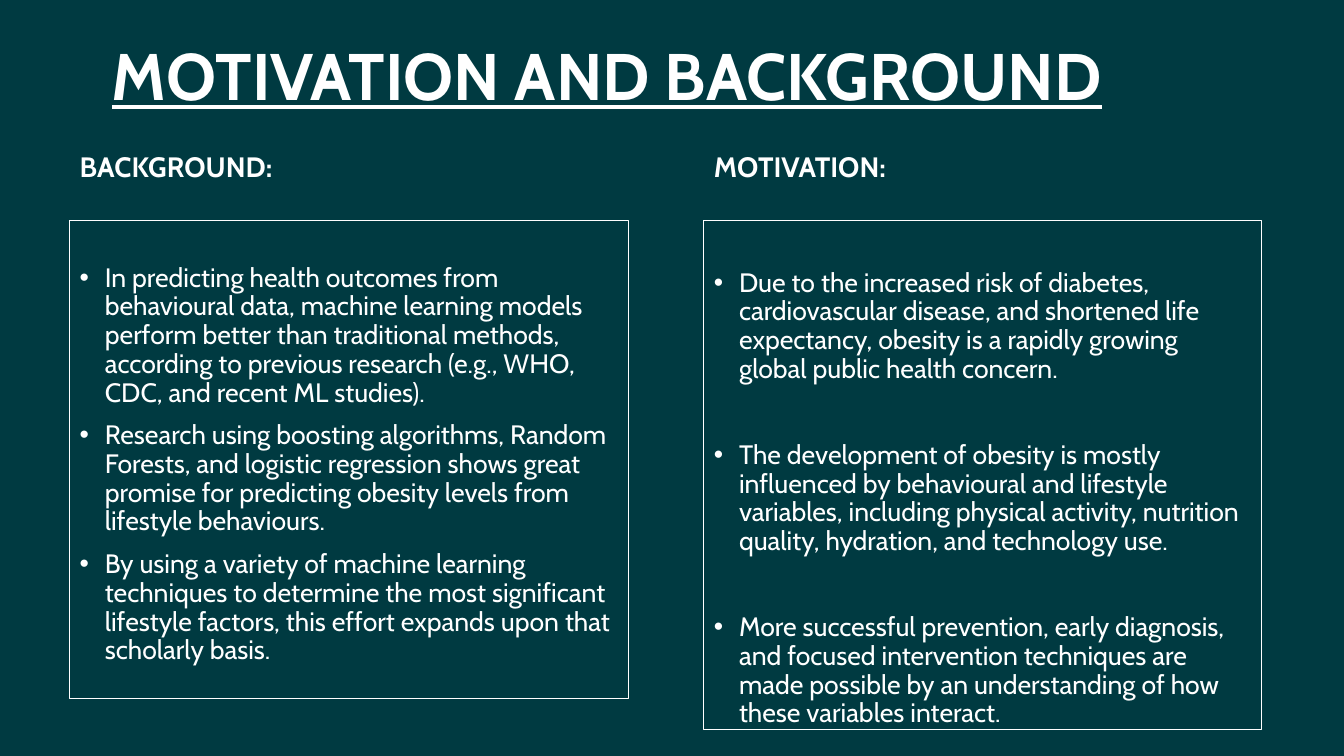
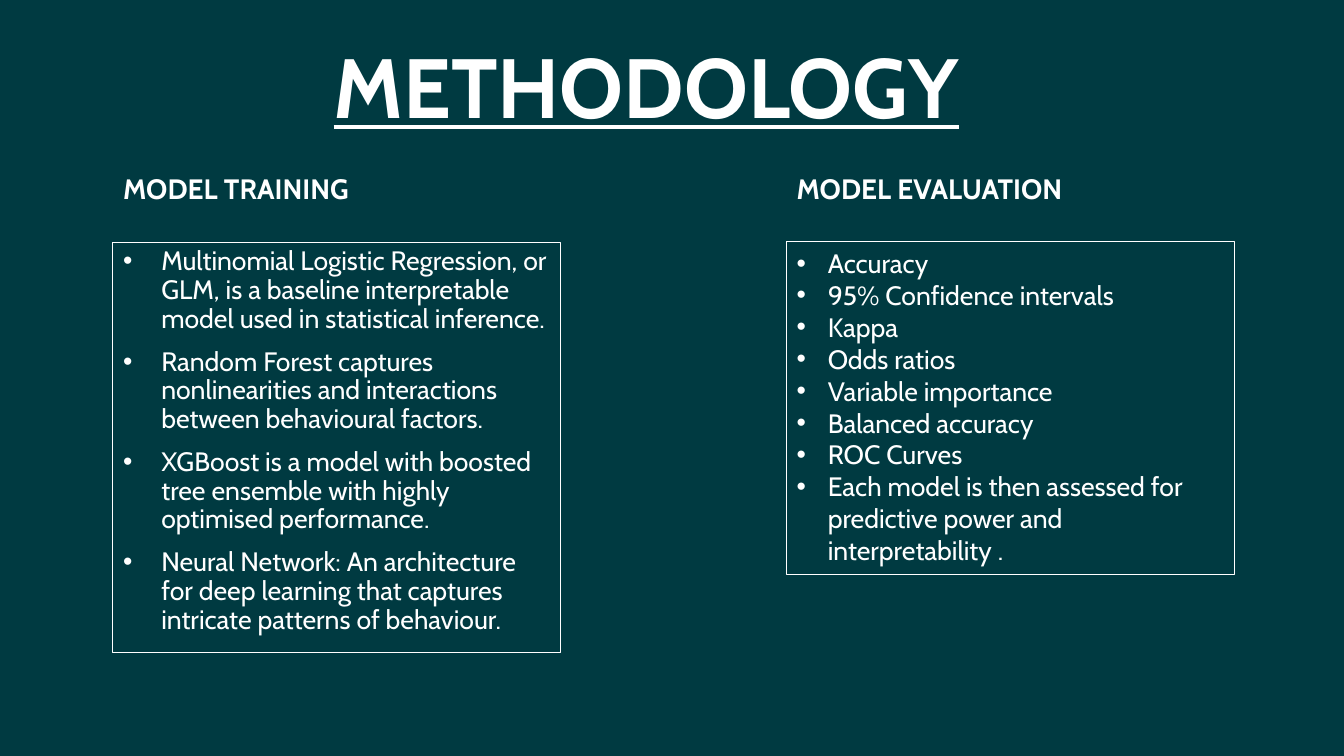
"""Build the motivation and methodology slides."""
from pptx import Presentation
from pptx.dml.color import RGBColor
from pptx.enum.text import MSO_ANCHOR, MSO_AUTO_SIZE, PP_ALIGN
from pptx.util import Inches, Pt

TOP, BOTTOM = MSO_ANCHOR.TOP, MSO_ANCHOR.BOTTOM
LEFT = PP_ALIGN.LEFT
NO_AUTOFIT = MSO_AUTO_SIZE.NONE

COLORS = {"background": "003A41", "text": "FFFFFF", "outline": "FFFFFF"}
FONT = "Cabin"
COMPARISON_LAYOUT = 4
HEADING_SIZE, LIST_SIZE = 20, 19


def color(name):
    return RGBColor.from_string(COLORS[name])


def place(holder, box, anchor, top_inset=0.05):
    holder.left, holder.top, holder.width, holder.height = map(Inches, box)
    frame = holder.text_frame
    frame.word_wrap = True
    frame.auto_size = NO_AUTOFIT
    frame.vertical_anchor = anchor
    frame.margin_left = frame.margin_right = Inches(0.1)
    frame.margin_top, frame.margin_bottom = Inches(top_inset), Inches(0.05)
    return frame


def write(paragraph, text, size, bold=False, underline=False, leading=0.9, before=0):
    paragraph.alignment = LEFT
    paragraph.line_spacing = leading
    paragraph.space_before, paragraph.space_after = Pt(before), Pt(0)
    run = paragraph.add_run()
    run.text = text
    font = run.font
    font.name, font.size = FONT, Pt(size)
    font.bold, font.underline = bold, underline
    font.color.rgb = color("text")


def add_title(slide, text, box, size):
    frame = place(slide.shapes.title, box, TOP)
    write(frame.paragraphs[0], text, size, bold=True, underline=True)


def add_heading(holder, text, box):
    frame = place(holder, box, BOTTOM)
    write(frame.paragraphs[0], text, HEADING_SIZE, bold=True)


def add_list(holder, items, box, indent, top_inset=0.05, gap=10, leading=0.9):
    frame = place(holder, box, TOP, top_inset)
    holder.line.color.rgb = color("outline")
    holder.line.width = Pt(0.75)
    for index, item in enumerate(items):
        paragraph = frame.add_paragraph() if index else frame.paragraphs[0]
        properties = paragraph._p.get_or_add_pPr()
        properties.set("marL", str(Inches(indent)))
        properties.set("indent", str(-Inches(indent)))
        write(paragraph, item, LIST_SIZE, leading=leading, before=gap if index else 0)


def add_comparison(prs, title, columns):
    slide = prs.slides.add_slide(prs.slide_layouts[COMPARISON_LAYOUT])
    add_title(slide, **title)
    holders = {holder.placeholder_format.idx: holder for holder in slide.placeholders}
    for (heading_idx, list_idx), column in zip(((1, 2), (3, 4)), columns):
        add_heading(holders[heading_idx], **column["heading"])
        add_list(holders[list_idx], **column["list"])


def add_motivation(prs):
    background = [
        "In predicting health outcomes from behavioural data, machine learning models "
        "perform better than traditional methods, according to previous research "
        "(e.g., WHO, CDC, and recent ML studies).",
        "Research using boosting algorithms, Random Forests, and logistic regression "
        "shows great promise for predicting obesity levels from lifestyle behaviours.",
        "By using a variety of machine learning techniques to determine the most "
        "significant lifestyle factors, this effort expands upon that scholarly basis.",
    ]
    motivation = [
        "Due to the increased risk of diabetes, cardiovascular disease, and shortened "
        "life expectancy, obesity is a rapidly growing global public health concern.",
        "The development of obesity is mostly influenced by behavioural and lifestyle "
        "variables, including physical activity, nutrition quality, hydration, and "
        "technology use.",
        "More successful prevention, early diagnosis, and focused intervention "
        "techniques are made possible by an understanding of how these variables "
        "interact.",
    ]
    add_comparison(
        prs,
        {"text": "MOTIVATION AND BACKGROUND", "box": (1.01, 0.38, 11.95, 0.82), "size": 47},
        [
            {
                "heading": {"text": "BACKGROUND:", "box": (0.69, 1.46, 5.76, 0.41)},
                "list": {"items": background, "box": (0.69, 2.19, 5.54, 4.74),
                         "indent": 0.25, "top_inset": 0.43},
            },
            {
                "heading": {"text": "MOTIVATION:", "box": (6.98, 1.46, 5.77, 0.41)},
                "list": {"items": motivation, "box": (6.98, 2.19, 5.53, 5.05),
                         "indent": 0.25, "top_inset": 0.48, "gap": 41},
            },
        ],
    )


def add_methodology(prs):
    training = [
        "Multinomial Logistic Regression, or GLM, is a baseline interpretable model "
        "used in statistical inference.",
        "Random Forest captures nonlinearities and interactions between behavioural "
        "factors.",
        "XGBoost is a model with boosted tree ensemble with highly optimised "
        "performance.",
        "Neural Network: An architecture for deep learning that captures intricate "
        "patterns of behaviour.",
    ]
    evaluation = [
        "Accuracy",
        "95% Confidence intervals",
        "Kappa",
        "Odds ratios",
        "Variable importance",
        "Balanced accuracy",
        "ROC Curves",
        "Each model is then assessed for predictive power and interpretability .",
    ]
    add_comparison(
        prs,
        {"text": "METHODOLOGY", "box": (3.21, 0.41, 6.82, 0.82), "size": 60},
        [
            {
                "heading": {"text": "MODEL TRAINING", "box": (1.12, 1.65, 3.72, 0.44)},
                "list": {"items": training, "box": (1.12, 2.41, 4.44, 4.06),
                         "indent": 0.38},
            },
            {
                "heading": {"text": "MODEL EVALUATION", "box": (7.8, 1.65, 4.28, 0.44)},
                "list": {"items": evaluation, "box": (7.8, 2.4, 4.44, 3.3),
                         "indent": 0.31, "gap": 0, "leading": 1.0},
            },
        ],
    )


def main():
    prs = Presentation()
    prs.slide_width, prs.slide_height = Inches(13.33), Inches(7.5)
    backdrop = prs.slide_master.background.fill
    backdrop.solid()
    backdrop.fore_color.rgb = color("background")
    add_motivation(prs)
    add_methodology(prs)
    prs.save("out.pptx")


if __name__ == "__main__":
    main()
